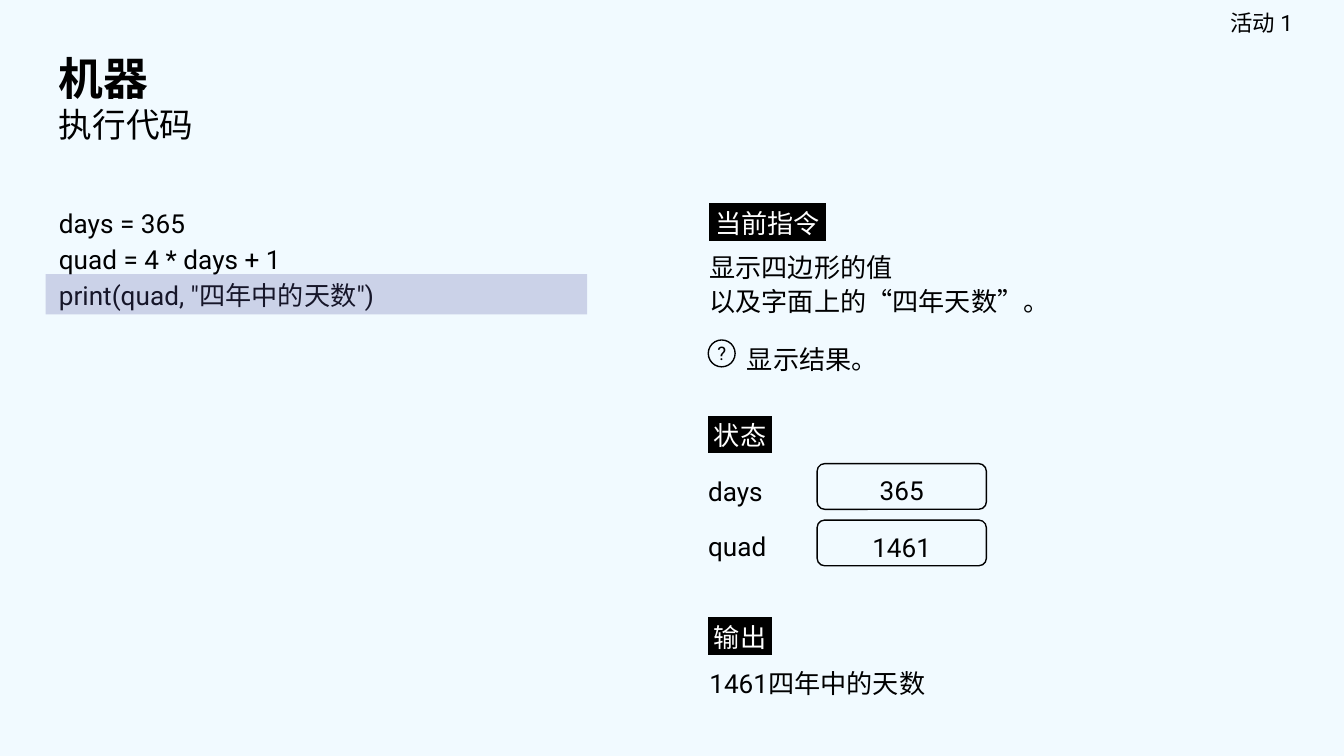
from lxml import etree
from pptx import Presentation
from pptx.dml.color import RGBColor
from pptx.enum import shapes, text
from pptx.oxml import ns
from pptx.util import Inches, Pt

COLORS = {"background": "F1FAFF", "ink": "000000", "label": "FFFFFF", "marker": "5B5BA5"}


def write(holder, content, size=14, bold=False, color="ink", highlight=None,
          align=text.PP_ALIGN.LEFT, anchor=text.MSO_ANCHOR.TOP,
          spacing=1.14, insets=(0.1, 0.1, 0.06, 0.1)):
    frame = holder.text_frame
    frame.word_wrap = True
    frame.vertical_anchor = anchor
    frame.margin_left, frame.margin_top, frame.margin_right, frame.margin_bottom = map(Inches, insets)
    frame.text = content
    for paragraph in frame.paragraphs:
        paragraph.alignment = align
        paragraph.line_spacing = spacing
        run = paragraph.runs[0]
        run.font.name = "Roboto"
        run.font.size = Pt(size)
        run.font.bold = bold
        run.font.color.rgb = RGBColor.from_string(COLORS[color])
        if highlight:
            mark = etree.Element(ns.qn("a:highlight"))
            etree.SubElement(mark, ns.qn("a:srgbClr"), val=COLORS[highlight])
            run.font._element.find(ns.qn("a:solidFill")).addnext(mark)
    return frame


def outline(parent, kind, left, top, width, height):
    shape = parent.add_shape(kind, Inches(left), Inches(top), Inches(width), Inches(height))
    shape.shadow.inherit = False
    shape.fill.background()
    shape.line.color.rgb = RGBColor.from_string(COLORS["ink"])
    shape.line.width = Pt(0.75)
    return shape


prs = Presentation()
prs.slide_width = Inches(10)
prs.slide_height = prs.slide_width * 9 // 16
slide = prs.slides.add_slide(prs.slide_layouts[6])
slide.background.fill.solid()
slide.background.fill.fore_color.rgb = RGBColor.from_string(COLORS["background"])

code = slide.shapes.add_textbox(Inches(0.34), Inches(1.41), Inches(4.84), Inches(1))
write(code, 'days = 365\nquad = 4 * days + 1\nprint(quad, "四年中的天数")',
      spacing=1.15, insets=(0.1, 0.1, 0.1, 0.1))

current_line = slide.shapes.add_shape(
    shapes.MSO_SHAPE.RECTANGLE, Inches(0.34), Inches(2.04), Inches(4.03), Inches(0.3))
current_line.shadow.inherit = False
current_line.line.fill.background()
current_line.fill.solid()
current_line.fill.fore_color.rgb = RGBColor.from_string(COLORS["marker"])
marker_color = current_line._element.spPr.find(ns.qn("a:solidFill"))[0]
etree.SubElement(marker_color, ns.qn("a:alpha"), val="25000")

activity = slide.shapes.add_textbox(Inches(7.48), Inches(0), Inches(2.14), Inches(0.34))
write(activity, "活动 1", size=12, align=text.PP_ALIGN.RIGHT, anchor=text.MSO_ANCHOR.MIDDLE,
      spacing=1.0, insets=(0.1, 0.1, 0, 0.1))

heading = slide.shapes.add_textbox(Inches(0.34), Inches(0.34), Inches(9.32), Inches(0.77))
heading_frame = write(heading, "机器\n执行代码", size=24, bold=True,
                      anchor=text.MSO_ANCHOR.MIDDLE, spacing=1.0, insets=(0.1, 0.1, 0.1, 0.1))
subtitle = heading_frame.paragraphs[1].runs[0]
subtitle.font.size = Pt(18)
subtitle.font.bold = False

for variable, value, name_top, cell_top in [("days", "365", 3.4, 3.45), ("quad", "1461", 3.81, 3.87)]:
    state = slide.shapes.add_group_shape().shapes
    name = state.add_textbox(Inches(5.17), Inches(name_top), Inches(1.5), Inches(0.4))
    write(name, variable, spacing=1.15, insets=(0.1, 0.1, 0.1, 0.1))
    cell = outline(state, shapes.MSO_SHAPE.ROUNDED_RECTANGLE, 6.08, cell_top, 1.26, 0.34)
    write(cell, value, align=text.PP_ALIGN.CENTER, anchor=text.MSO_ANCHOR.MIDDLE,
          spacing=1.15, insets=(0.1, 0.02, 0.1, 0))

for label, left, top, width in [
    (" 当前指令 ", 5.18, 1.41, 4.47),
    (" 状态 ", 5.17, 2.99, 3.9),
    (" 输出 ", 5.17, 4.49, 3.9),
]:
    section = slide.shapes.add_textbox(Inches(left), Inches(top), Inches(width), Inches(0.4))
    write(section, label, color="label", highlight="ink")

for sentence, left, top, width, height in [
    ("显示四边形的值", 5.18, 1.74, 4.47, 0.7),
    ("以及字面上的“四年天数”。", 5.18, 1.99, 4.47, 0.4),
    ("显示结果。", 5.46, 2.42, 3.9, 0.4),
    ("1461四年中的天数", 5.18, 4.83, 4.47, 0.4),
]:
    detail = slide.shapes.add_textbox(Inches(left), Inches(top), Inches(width), Inches(height))
    write(detail, sentence)

question = outline(slide.shapes, shapes.MSO_SHAPE.OVAL, 5.27, 2.53, 0.2, 0.2)
write(question, "?", size=10, align=text.PP_ALIGN.CENTER, anchor=text.MSO_ANCHOR.MIDDLE,
      spacing=1.0, insets=(0, 0, 0, 0))

prs.save("out.pptx")
